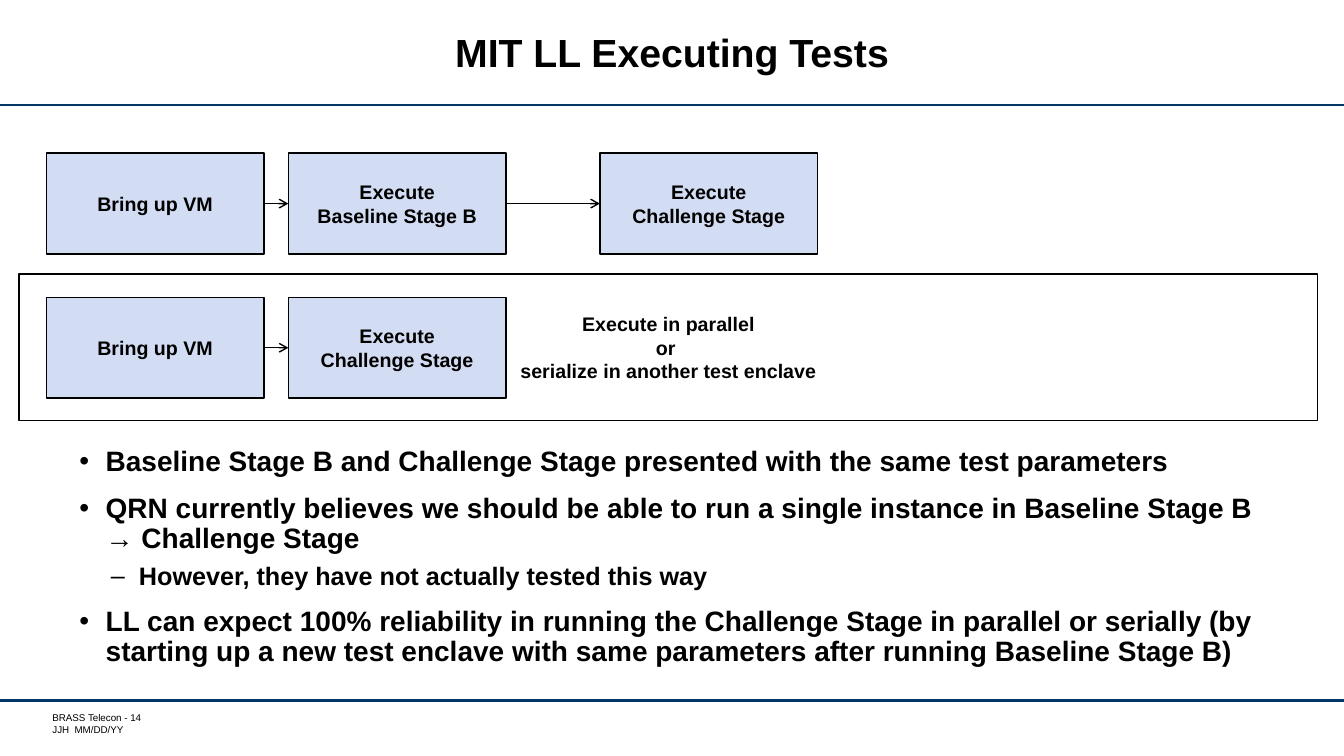
from pptx import Presentation
from pptx.dml.color import RGBColor
from pptx.enum.shapes import MSO_CONNECTOR as LINE, MSO_SHAPE as SHAPE
from pptx.enum.text import MSO_ANCHOR as ANCHOR, PP_ALIGN as ALIGN
from pptx.oxml.ns import qn
from pptx.util import Inches, Pt
from lxml.etree import SubElement as Sub

COLORS = {"ink": "000000", "rule": "003767", "box": "D2DCF2"}
BOX_W, BOX_H = 2.16, 1
COLS = (0.46, 2.86, 5.95)
TOP_ROW, LOW_ROW = 1.52, 2.95

# Flow rows: top edge and the labels of the boxes from left to right
FLOWS = [
    (TOP_ROW, ["Bring up VM", "Execute\nBaseline Stage B",
               "Execute\nChallenge Stage"]),
    (LOW_ROW, ["Bring up VM", "Execute\nChallenge Stage"]),
]

# Bullets: level and text
BULLETS = [
    (0, "Baseline Stage B and Challenge Stage presented with the same "
        "test parameters"),
    (0, "QRN currently believes we should be able to run a single instance "
        "in Baseline Stage B → Challenge Stage"),
    (1, "However, they have not actually tested this way"),
    (0, "LL can expect 100% reliability in running the Challenge Stage in "
        "parallel or serially (by starting up a new test enclave with same "
        "parameters after running Baseline Stage B)"),
]

# Level style: mark, left margin, hanging indent, space before, size
LEVELS = [("•", 0.26, -0.26, 12, 20), ("–", 0.59, -0.28, 6, 18)]


def color(name):
    return RGBColor.from_string(COLORS[name])


def style(para, size, bold=True):
    for run in para.runs:
        font = run.font
        font.name, font.size, font.bold = "Arial", Pt(size), bold
        font.color.rgb = color("ink")


def add_text(slide, place, text, size, bold=True, align=ALIGN.LEFT):
    shape = slide.shapes.add_textbox(*map(Inches, place))
    frame = shape.text_frame
    frame.word_wrap = True
    frame.text = text
    for para in frame.paragraphs:
        para.alignment = align
        style(para, size, bold)
    return frame


def add_box(slide, place, text, fill=None):
    box = slide.shapes.add_shape(SHAPE.RECTANGLE, *map(Inches, place))
    box.shadow.inherit = False
    if fill:
        box.fill.solid()
        box.fill.fore_color.rgb = color(fill)
    else:
        box.fill.background()
    box.line.color.rgb = color("ink")
    box.line.width = Pt(1)
    frame = box.text_frame
    frame.word_wrap = True
    frame.vertical_anchor = ANCHOR.MIDDLE
    frame.text = text
    for para in frame.paragraphs:
        para.alignment = ALIGN.CENTER
        style(para, 14)


def add_line(slide, left, right, y, tint, width, arrow=False):
    line = slide.shapes.add_connector(
        LINE.STRAIGHT, Inches(left), Inches(y), Inches(right), Inches(y))
    line.line.color.rgb = color(tint)
    line.line.width = Pt(width)
    if arrow:
        Sub(line.line._get_or_add_ln(), qn("a:tailEnd"), type="arrow")
    Sub(line._element.spPr, qn("a:effectLst"))


def add_flow(slide, top, labels):
    for i, (left, label) in enumerate(zip(COLS, labels)):
        add_box(slide, (left, top, BOX_W, BOX_H), label, "box")
        if i:
            add_line(slide, COLS[i - 1] + BOX_W, left, top + BOX_H / 2,
                     "ink", 1, arrow=True)


def add_list(slide, place, items):
    frame = add_text(slide, place, "\n".join(t for _, t in items), 20)
    for i, (para, (level, _)) in enumerate(zip(frame.paragraphs, items)):
        mark, left, indent, space, size = LEVELS[level]
        props = para._p.get_or_add_pPr()
        props.set("marL", str(Inches(left)))
        props.set("indent", str(Inches(indent)))
        Sub(props, qn("a:buFont"), typeface="Arial")
        Sub(props, qn("a:buChar"), char=mark)
        para.level = level
        para.line_spacing = 0.9
        para.space_before = Pt(space if i else 0)
        style(para, size)


def main():
    deck = Presentation()
    deck.slide_width, deck.slide_height = Inches(13.33), Inches(7.5)
    slide = deck.slides.add_slide(deck.slide_layouts[6])

    # Rules and footer
    for y in (1.04, 6.95):
        add_line(slide, 0, 13.33, y, "rule", 1.75)
    foot = add_text(slide, (0.47, 7.06, 1.59, 0.24),
                    "BRASS Telecon - 14\nJJH  MM/DD/YY", 7, bold=False)
    foot.margin_left = Inches(0.05)
    foot.margin_top = foot.margin_right = foot.margin_bottom = 0

    # Title
    title = add_text(slide, (1.37, 0.11, 10.59, 0.89),
                     "MIT LL Executing Tests", 28, align=ALIGN.CENTER)
    title.vertical_anchor = ANCHOR.MIDDLE
    title.paragraphs[0].line_spacing = Pt(28)

    # Frame around the second flow, then both flows
    add_box(slide, (0.19, 2.72, 12.88, 1.45),
            "Execute in parallel\nor \nserialize in another test enclave")
    for top, labels in FLOWS:
        add_flow(slide, top, labels)

    # Bullets
    add_list(slide, (0.69, 4.39, 11.94, 2.3), BULLETS)

    deck.save("out.pptx")


if __name__ == "__main__":
    main()
